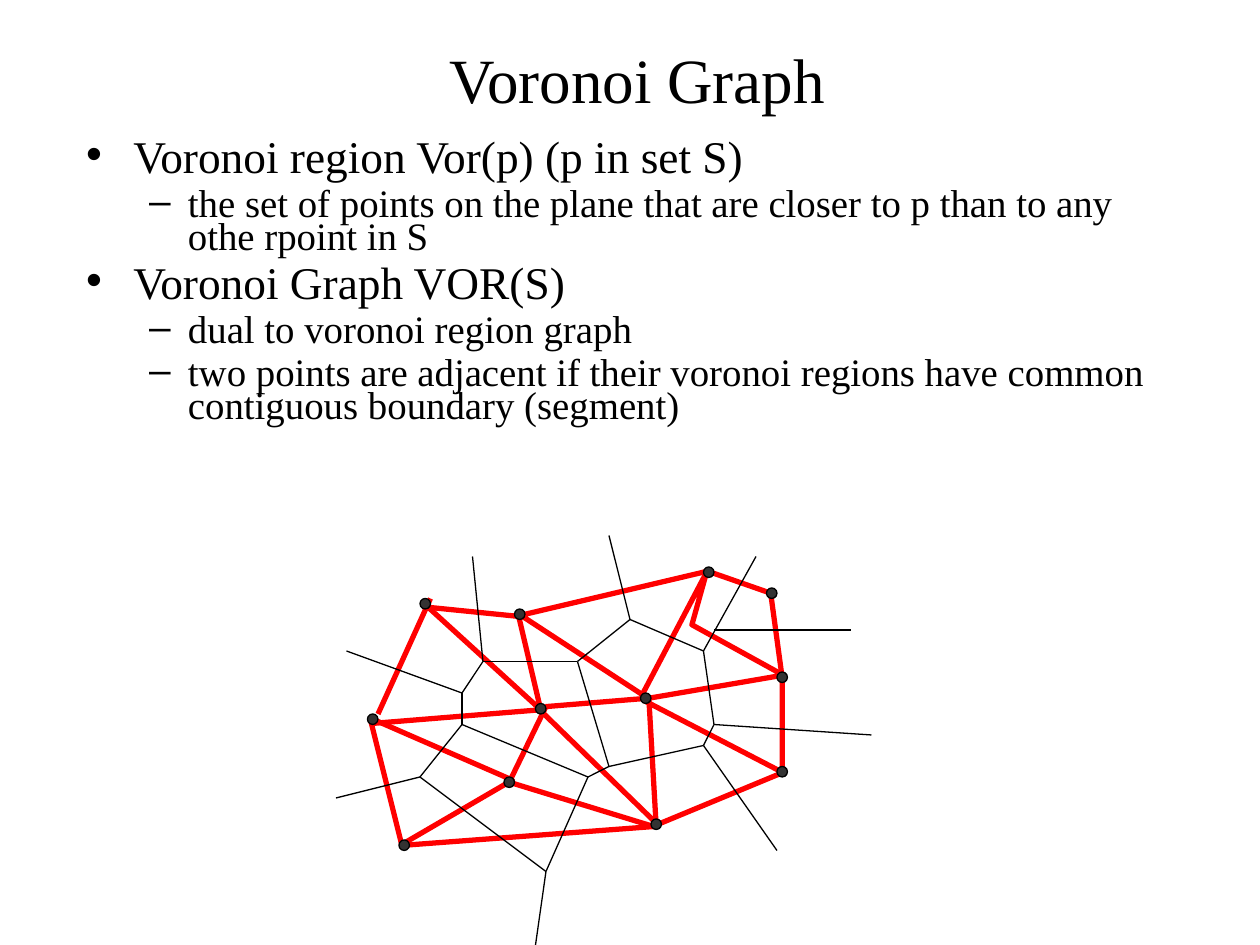
from dataclasses import dataclass

from lxml.etree import SubElement
from pptx import Presentation
from pptx.dml.color import RGBColor
from pptx.enum.shapes import MSO_CONNECTOR, MSO_SHAPE
from pptx.enum.text import MSO_ANCHOR, MSO_AUTO_SIZE, PP_ALIGN
from pptx.oxml.ns import qn
from pptx.util import Pt

PX = 7620  # EMU per px, 120 px to the inch
FONT = "Times New Roman"
COLORS = {"text": "000000", "edge": "FF0000", "boundary": "000000", "site": "333333"}
SITE_SIZE = 10

Point = tuple[int, int]


@dataclass(frozen=True)
class LevelStyle:
    size: float
    space_before: int
    margin: int
    hanging: int


@dataclass(frozen=True)
class Outline:
    points: list[Point]
    closed: bool = False


LEVELS = [LevelStyle(25.9, 7, 45, 45), LevelStyle(22.2, 6, 97, 37)]

BULLETS = [
    (0, "Voronoi region Vor(p) (p in set S)"),
    (1, "the set of points on the plane that are closer to p than to any othe rpoint in S"),
    (0, "Voronoi Graph VOR(S)"),
    (1, "dual to voronoi region graph"),
    (1, "two points are adjacent if their voronoi regions have common "
        "contiguous boundary (segment)"),
]

EDGE_OUTLINES = [
    Outline([(385, 803), (488, 743), (355, 685)]),
    Outline([(385, 805), (625, 787), (618, 665), (746, 643), (659, 595), (673, 545),
             (612, 661)]),
    Outline([(674, 544), (734, 565), (745, 646), (745, 736), (622, 787), (485, 745),
             (520, 673), (617, 665), (496, 586)], closed=True),
]
EDGES = [
    ((613, 667), (746, 736)), ((515, 676), (403, 574)), ((514, 676), (626, 785)),
    ((515, 676), (355, 689)), ((383, 806), (353, 686)), ((515, 676), (494, 587)),
    ((493, 587), (404, 578)), ((360, 680), (410, 570)),
]

# Top left corners of the dots
SITES = [
    (350, 680), (400, 570), (380, 800), (490, 580), (510, 670), (480, 740),
    (610, 660), (670, 540), (620, 780), (740, 640), (740, 730), (730, 560),
]

VERTICES = {
    "a": (440, 660), "b": (440, 690), "c": (400, 740), "d": (520, 830),
    "e": (460, 630), "f": (550, 630), "g": (560, 740), "h": (580, 730),
    "i": (600, 590), "j": (670, 620), "k": (680, 690), "l": (670, 710),
}
INNER_BOUNDARIES = "bc cd ea ef bg hf gd hl kj ji gh kl ab if".split()
OUTER_BOUNDARIES = [
    ((330, 620), VERTICES["a"]), ((320, 760), VERTICES["c"]),
    (VERTICES["e"], (450, 530)), (VERTICES["i"], (580, 510)),
    ((720, 530), VERTICES["j"]), ((680, 600), (810, 600)),
    (VERTICES["k"], (830, 700)), (VERTICES["l"], (740, 810)),
    (VERTICES["d"], (510, 900)),
]


def rgb(name: str) -> RGBColor:
    return RGBColor.from_string(COLORS[name])


def style_line(line, color: str, width: float) -> None:
    line.color.rgb = rgb(color)
    line.width = Pt(width)


def add_segment(shapes, start: Point, end: Point, color: str, width: float) -> None:
    ends = [value * PX for value in (*start, *end)]
    connector = shapes.add_connector(MSO_CONNECTOR.STRAIGHT, *ends)
    style_line(connector.line, color, width)
    SubElement(connector._element.spPr, qn("a:effectLst"))


def add_outline(shapes, outline: Outline) -> None:
    builder = shapes.build_freeform(*outline.points[0], scale=PX)
    builder.add_line_segments(outline.points[1:], close=outline.closed)
    shape = builder.convert_to_shape()
    shape.shadow.inherit = False
    shape.fill.background()
    style_line(shape.line, "edge", 3)


def add_site(shapes, corner: Point) -> None:
    left, top = corner
    dot = shapes.add_shape(MSO_SHAPE.OVAL, left * PX, top * PX,
                           SITE_SIZE * PX, SITE_SIZE * PX)
    dot.shadow.inherit = False
    dot.fill.solid()
    dot.fill.fore_color.rgb = rgb("site")
    style_line(dot.line, "boundary", 0.75)


def place(shape, left: int, top: int, width: int, height: int) -> None:
    shape.left, shape.top = left * PX, top * PX
    shape.width, shape.height = width * PX, height * PX
    shape.text_frame.auto_size = MSO_AUTO_SIZE.NONE


def style_font(paragraph, size: float) -> None:
    font = paragraph.font
    font.name, font.size = FONT, Pt(size)
    font.color.rgb = rgb("text")


def fill_title(title) -> None:
    place(title, 70, 40, 1060, 70)
    title.text_frame.vertical_anchor = MSO_ANCHOR.MIDDLE
    paragraph = title.text_frame.paragraphs[0]
    paragraph.text = " Voronoi Graph"
    paragraph.alignment = PP_ALIGN.CENTER
    style_font(paragraph, 36)


def fill_body(body) -> None:
    place(body, 70, 130, 1070, 300)
    frame = body.text_frame
    frame.vertical_anchor = MSO_ANCHOR.TOP
    for index, (level, text) in enumerate(BULLETS):
        paragraph = frame.add_paragraph() if index else frame.paragraphs[0]
        style = LEVELS[level]
        paragraph.text, paragraph.level = text, level
        paragraph.line_spacing = 0.7
        paragraph.space_before = Pt(style.space_before if index else 0)
        properties = paragraph._p.get_or_add_pPr()
        properties.set("marL", str(style.margin * PX))
        properties.set("indent", str(-style.hanging * PX))
        style_font(paragraph, style.size)


def main() -> None:
    presentation = Presentation()
    presentation.slide_width, presentation.slide_height = 1200 * PX, 900 * PX
    slide = presentation.slides.add_slide(presentation.slide_layouts[1])
    shapes = slide.shapes
    fill_title(shapes.title)
    fill_body(slide.placeholders[1])

    for outline in EDGE_OUTLINES:
        add_outline(shapes, outline)
    for start, end in EDGES:
        add_segment(shapes, start, end, "edge", 3)
    for corner in SITES:
        add_site(shapes, corner)
    inner = [(VERTICES[start], VERTICES[end]) for start, end in INNER_BOUNDARIES]
    for start, end in inner + OUTER_BOUNDARIES:
        add_segment(shapes, start, end, "boundary", 0.75)

    presentation.save("out.pptx")


if __name__ == "__main__":
    main()
